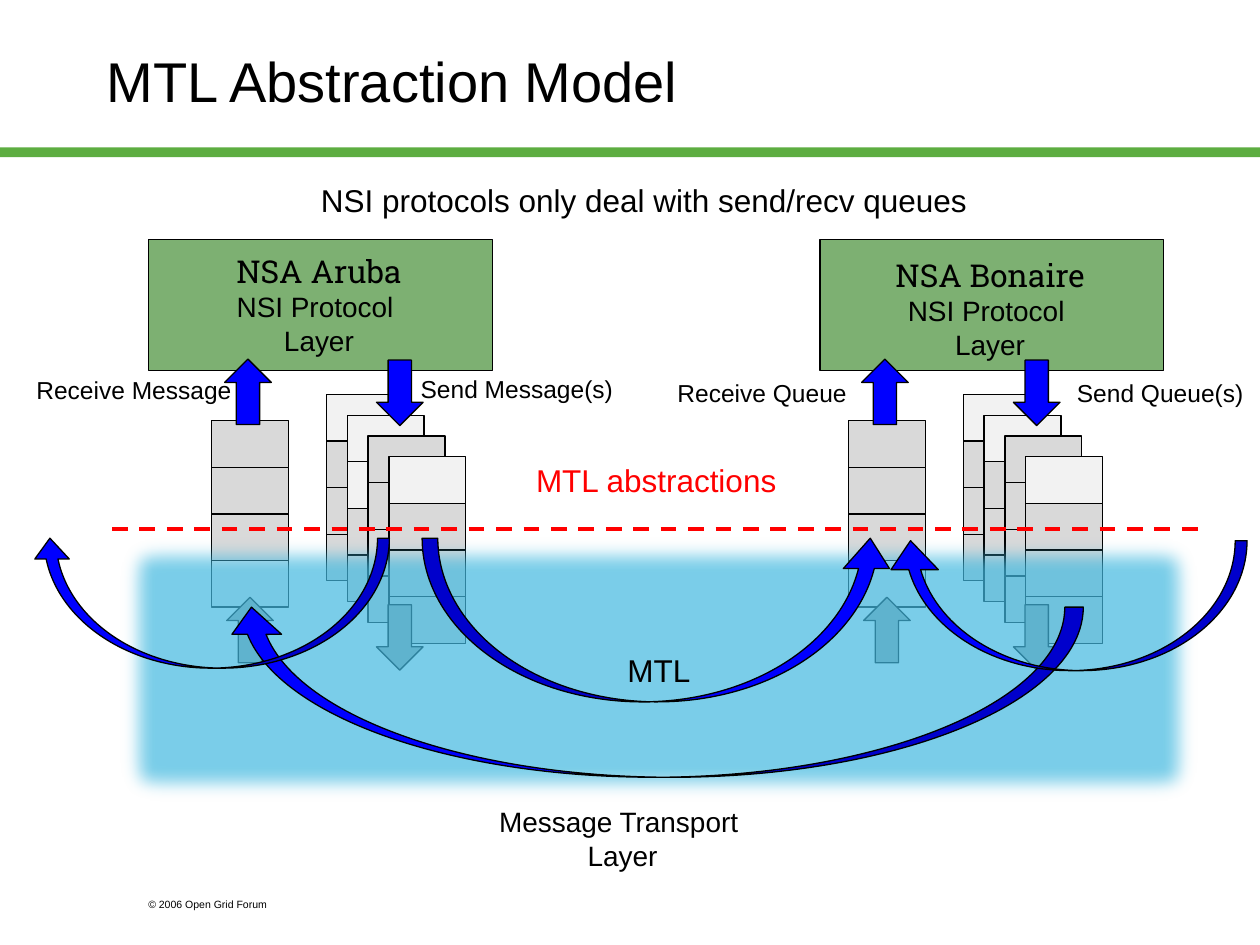
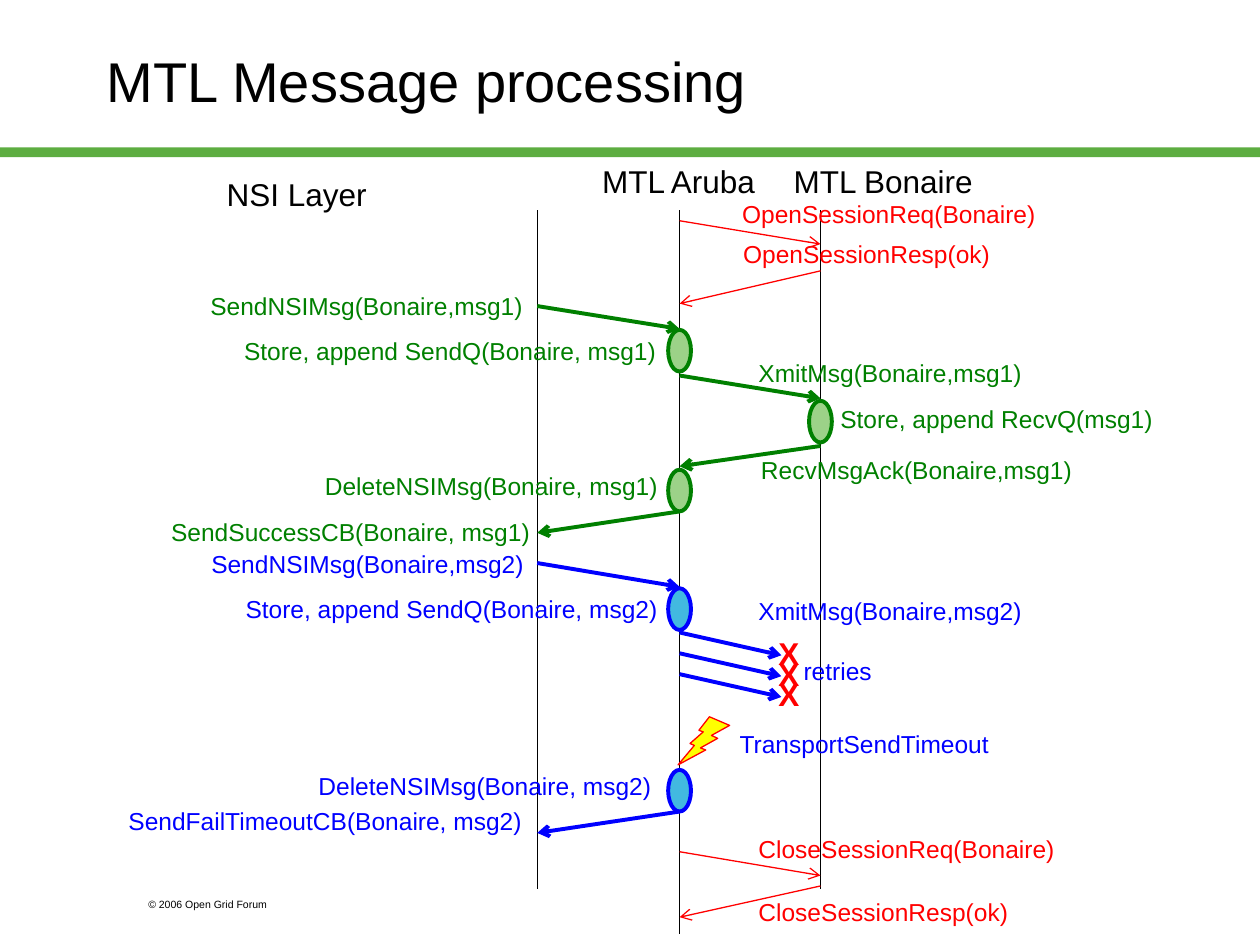
from dataclasses import dataclass

from lxml.etree import SubElement
from pptx import Presentation
from pptx.dml.color import RGBColor
from pptx.enum.dml import MSO_LINE
from pptx.enum.shapes import MSO_CONNECTOR, MSO_SHAPE as Preset
from pptx.enum.text import MSO_ANCHOR as Anchor, PP_ALIGN as Align
from pptx.oxml.ns import qn
from pptx.util import Cm, Pt


@dataclass(frozen=True)
class Theme:
    font: str = "Arial"
    name_font: str = "Roboto Slab"
    black: str = "000000"
    red: str = "FF0000"
    green: str = "008000"
    blue: str = "0000FF"
    yellow: str = "FFFF00"
    band: str = "5DAD41"
    agent: str = "7DB072"
    light: str = "F2F2F2"
    grey: str = "D9D9D9"
    dark: str = "A6A6A6"
    transport: str = "42B9E0"
    mint: str = "9CD288"
    title: int = 32
    heading: int = 18
    body: int = 16
    label: int = 14
    footer: int = 6
    thin: float = 0.75
    thick: float = 2.25


T = Theme()
L, C, R = Align.LEFT, Align.CENTER, Align.RIGHT

BAND = (0, 2.97, 25.4, 0.2)
TITLE = (1.9, 0.43, 21.59, 2.36)
FOOTER = ("© 2006 Open Grid Forum", (2.74, 17.98, 3.81, 0.51))

SITES = [
    dict(name="NSA Aruba", box=3.0, name_at=(3.23, 4.95), queue=4.27,
         stack=("LGGG", "LLGG", "GGGG", "LGGG")),
    dict(name="NSA Bonaire", box=16.53, name_at=(16.76, 5.03), queue=17.11,
         stack=("LGGG", "LGGG", "GGGG", "LGGG")),
]
ROLE = ["NSI Protocol ", "Layer"]
SHADES = {"L": T.light, "G": T.grey}
RECEIVE_QUEUE = "GGGL"
CELL_W, CELL_H = 1.55, 0.94
QUEUE_TOP = 8.48
STACK_DX, STACK_TOP, STACK_STEP = 2.31, 7.95, 0.42
QUEUE_ARROWS = [
    (Preset.DOWN_ARROW, 3.32, 7.26, T.blue),
    (Preset.DOWN_ARROW, 3.32, 12.19, T.dark),
    (Preset.UP_ARROW, 0.26, 7.24, T.blue),
    (Preset.UP_ARROW, 0.3, 12.04, T.dark),
]
MODEL_LABELS = [
    (["NSI protocols only deal with send/recv queues"], (6.22, 3.53, 14.22, 1.02), T.heading, T.black, L),
    (["Send Message(s)"], (8.23, 7.42, 4.78, 0.86), T.label, T.black, L),
    (["Receive Queue"], (12.57, 7.49, 4.75, 0.86), T.label, T.black, R),
    (["Receive Message"], (-0.08, 7.44, 5.0, 0.86), T.label, T.black, R),
    (["Send Queue(s)"], (21.46, 7.49, 3.94, 0.86), T.label, T.black, L),
    (["MTL abstractions"], (9.93, 9.17, 6.6, 1.02), T.heading, T.red, C),
    (["Message Transport ", "Layer"], (9.35, 16.1, 6.4, 1.63), T.body, T.black, C),
]
BOUNDARY = ((2.26, 10.67), (24.36, 10.67))
TRANSPORT = (2.26, 10.67, 22.05, 5.66)
TRANSFERS = [
    ((4.57, 12.24, 17.27, 3.43), True, (0.109, 0.292, 0.16)),
    ((8.51, 10.85, 9.5, 3.3), False, (0.096, 0.282, 0.186)),
    ((0.66, 10.85, 7.19, 2.62), True, (0.091, 0.265, 0.16)),
    ((17.88, 10.9, 7.26, 2.62), True, (0.091, 0.364, 0.223)),
]

NSI, ARUBA, BONAIRE, LOST = 10.83, 13.7, 16.54, 15.75
LIFE_TOP = 4.24
LIFELINES = [
    ("NSI Layer", (4.32, 3.4, 3.35), NSI, 17.93),
    ("MTL Aruba", (11.89, 3.15, 3.63), ARUBA, 18.82),
    ("MTL Bonaire", (15.75, 3.15, 4.17), BONAIRE, 17.93),
]
RETRY_TOP, RETRY_STEP, RETRIES = 12.75, 0.42, 3
PHASES = [
    dict(
        color=T.red, width=T.thin, fill=None, stores=[],
        messages=[
            (ARUBA, 4.45, BONAIRE, 4.92), (BONAIRE, 5.46, ARUBA, 6.12),
            (ARUBA, 17.17, BONAIRE, 17.65), (BONAIRE, 17.86, ARUBA, 18.49),
        ],
        labels=[
            ("OpenSessionReq(Bonaire)", 14.71, 3.89, 6.48),
            ("OpenSessionResp(ok)", 14.73, 4.7, 5.54),
            ("CloseSessionReq(Bonaire)", 15.04, 16.69, 6.53),
            ("CloseSessionResp(ok)", 15.04, 17.96, 5.59),
        ],
    ),
    dict(
        color=T.green, width=T.thick, fill=T.mint,
        stores=[(ARUBA, 6.65), (BONAIRE, 8.08), (ARUBA, 9.47)],
        messages=[
            (NSI, 6.17, ARUBA, 6.63), (ARUBA, 7.57, BONAIRE, 8.03),
            (BONAIRE, 8.99, ARUBA, 9.4), (ARUBA, 10.31, NSI, 10.74),
        ],
        labels=[
            ("SendNSIMsg(Bonaire,msg1)", 3.99, 5.74, 6.86),
            ("Store, append SendQ(Bonaire, msg1)", 4.67, 6.65, 8.89),
            ("XmitMsg(Bonaire,msg1)", 15.04, 7.09, 5.87),
            ("Store, append RecvQ(msg1)", 16.69, 8.03, 6.86),
            ("RecvMsgAck(Bonaire,msg1)", 15.09, 9.04, 6.83),
            ("DeleteNSIMsg(Bonaire, msg1)", 6.3, 9.37, 7.26),
            ("SendSuccessCB(Bonaire, msg1)", 3.2, 10.29, 7.8),
        ],
    ),
    dict(
        color=T.blue, width=T.thick, fill=T.transport,
        stores=[(ARUBA, 11.86), (ARUBA, 15.52)],
        messages=[(NSI, 11.35, ARUBA, 11.83), (ARUBA, 16.36, NSI, 16.79)] + [
            (ARUBA, RETRY_TOP + i * RETRY_STEP, LOST, RETRY_TOP + 0.46 + i * RETRY_STEP)
            for i in range(RETRIES)
        ],
        labels=[
            ("SendNSIMsg(Bonaire,msg2)", 4.01, 10.95, 6.86),
            ("Store, append SendQ(Bonaire, msg2)", 4.7, 11.86, 8.89),
            ("XmitMsg(Bonaire,msg2)", 15.04, 11.89, 5.87),
            ("retries", 15.95, 13.11, 1.9),
            ("TransportSendTimeout", 14.66, 14.58, 5.74),
            ("DeleteNSIMsg(Bonaire, msg2)", 6.17, 15.42, 7.26),
            ("SendFailTimeoutCB(Bonaire, msg2)", 2.34, 16.13, 8.51),
        ],
    ),
]
TIMEOUT_BOLT = (13.67, 14.45, 1.04, 0.97)


def rgb(color):
    return RGBColor.from_string(color)


def style(paragraph, size, color=T.black, align=L, font=T.font, bold=False):
    paragraph.alignment = align
    paragraph.font.name = font
    paragraph.font.size = Pt(size)
    paragraph.font.bold = bold
    paragraph.font.color.rgb = rgb(color)


def draw_shape(slide, preset, at, fill, line=T.black, width=T.thin, flip=False):
    shape = slide.shapes.add_shape(preset, *map(Cm, at))
    shape.shadow.inherit = False
    shape.fill.solid()
    shape.fill.fore_color.rgb = rgb(fill)
    if line:
        shape.line.color.rgb = rgb(line)
        shape.line.width = Pt(width)
    else:
        shape.line.fill.background()
    if flip:
        shape._element.spPr.xfrm.set("flipH", "1")
    return shape


def write(slide, lines, at, size, color=T.black, align=L, wrap=True, bold=False):
    box = slide.shapes.add_textbox(*map(Cm, at))
    frame = box.text_frame
    frame.word_wrap = wrap
    frame.text = "\n".join(lines)
    for paragraph in frame.paragraphs:
        style(paragraph, size, color, align, bold=bold)
    return box


def draw_line(slide, start, end, color, width, arrow=False):
    line = slide.shapes.add_connector(MSO_CONNECTOR.STRAIGHT, *map(Cm, start + end))
    line.line.color.rgb = rgb(color)
    line.line.width = Pt(width)
    if arrow:
        SubElement(line.line._get_or_add_ln(), qn("a:tailEnd"), type="arrow")
    SubElement(line._element.spPr, qn("a:effectLst"))
    return line


def add_slide(prs, title):
    slide = prs.slides.add_slide(prs.slide_layouts[5])
    slide.shapes.title.text = title
    style(slide.shapes.title.text_frame.paragraphs[0], T.title)
    return slide


def set_up_layout(layout, slide):
    heading = layout.placeholders[0]
    heading.left, heading.top, heading.width, heading.height = map(Cm, TITLE)
    heading.text_frame.vertical_anchor = Anchor.MIDDLE
    text, at = FOOTER
    for part in (draw_shape(slide, Preset.RECTANGLE, BAND, T.band, None),
                 write(slide, [text], at, T.footer)):
        layout.shapes._spTree.append(part._element)


def draw_queue(slide, x, y, cells):
    for i, cell in enumerate(cells):
        draw_shape(slide, Preset.RECTANGLE, (x, y + i * CELL_H, CELL_W, CELL_H), SHADES[cell])


def draw_site(slide, site):
    draw_shape(slide, Preset.RECTANGLE, (site["box"], 4.83, 6.93, 2.64), T.agent)
    agent = write(slide, [site["name"]] + ROLE, site["name_at"] + (6.4, 2.39), T.body, align=C)
    style(agent.text_frame.paragraphs[0], T.heading, align=C, font=T.name_font)
    x = site["queue"]
    for i, cells in enumerate(site["stack"]):
        shift = i * STACK_STEP
        draw_queue(slide, x + STACK_DX + shift, STACK_TOP + shift, cells)
    draw_queue(slide, x, QUEUE_TOP, RECEIVE_QUEUE)
    for preset, dx, y, color in QUEUE_ARROWS:
        draw_shape(slide, preset, (x + dx, y, 0.94, 1.32), color)


def draw_transport(slide):
    cloud = draw_shape(slide, Preset.RECTANGLE, TRANSPORT, T.transport, None)
    properties = cloud._element.spPr
    SubElement(properties.find(".//" + qn("a:srgbClr")), qn("a:alpha"), val="70000")
    SubElement(properties.find(qn("a:effectLst")), qn("a:softEdge"), rad=str(Pt(12.5)))
    cloud.text_frame.text = "MTL"
    cloud.text_frame.vertical_anchor = Anchor.MIDDLE
    style(cloud.text_frame.paragraphs[0], T.heading, align=C)


def build_model(slide):
    for site in SITES:
        draw_site(slide, site)
    boundary = draw_line(slide, *BOUNDARY, T.red, T.thick)
    boundary.line.dash_style = MSO_LINE.DASH
    for label in MODEL_LABELS:
        write(slide, *label)
    draw_transport(slide)
    for at, flip, bends in TRANSFERS:
        transfer = draw_shape(slide, Preset.CURVED_UP_ARROW, at, T.blue, flip=flip)
        for i, bend in enumerate(bends):
            transfer.adjustments[i] = bend


def build_processing(slide):
    for name, (x, y, width), lane, bottom in LIFELINES:
        draw_line(slide, (lane, LIFE_TOP), (lane, bottom), T.black, T.thin)
        write(slide, [name], (x, y, width, 1.02), T.heading, wrap=False)
    for phase in PHASES:
        color = phase["color"]
        for x1, y1, x2, y2 in phase["messages"]:
            draw_line(slide, (x1, y1), (x2, y2), color, phase["width"], arrow=True)
        for lane, y in phase["stores"]:
            draw_shape(slide, Preset.OVAL, (lane - 0.23, y, 0.46, 0.84),
                       phase["fill"], color, T.thick)
        for text, x, y, width in phase["labels"]:
            write(slide, [text], (x, y, width, 0.86), T.label, color, wrap=False)
    draw_shape(slide, Preset.LIGHTNING_BOLT, TIMEOUT_BOLT, T.yellow, T.red, flip=True)
    for i in range(RETRIES):
        write(slide, ["X"], (15.44, 12.65 + i * RETRY_STEP, 0.97, 1.02),
              T.heading, T.red, bold=True)


def main():
    prs = Presentation()
    prs.slide_width, prs.slide_height = Cm(25.4), Cm(19.05)
    model = add_slide(prs, "MTL Abstraction Model")
    set_up_layout(model.slide_layout, model)
    build_model(model)
    build_processing(add_slide(prs, "MTL Message processing"))
    prs.save("out.pptx")


if __name__ == "__main__":
    main()
